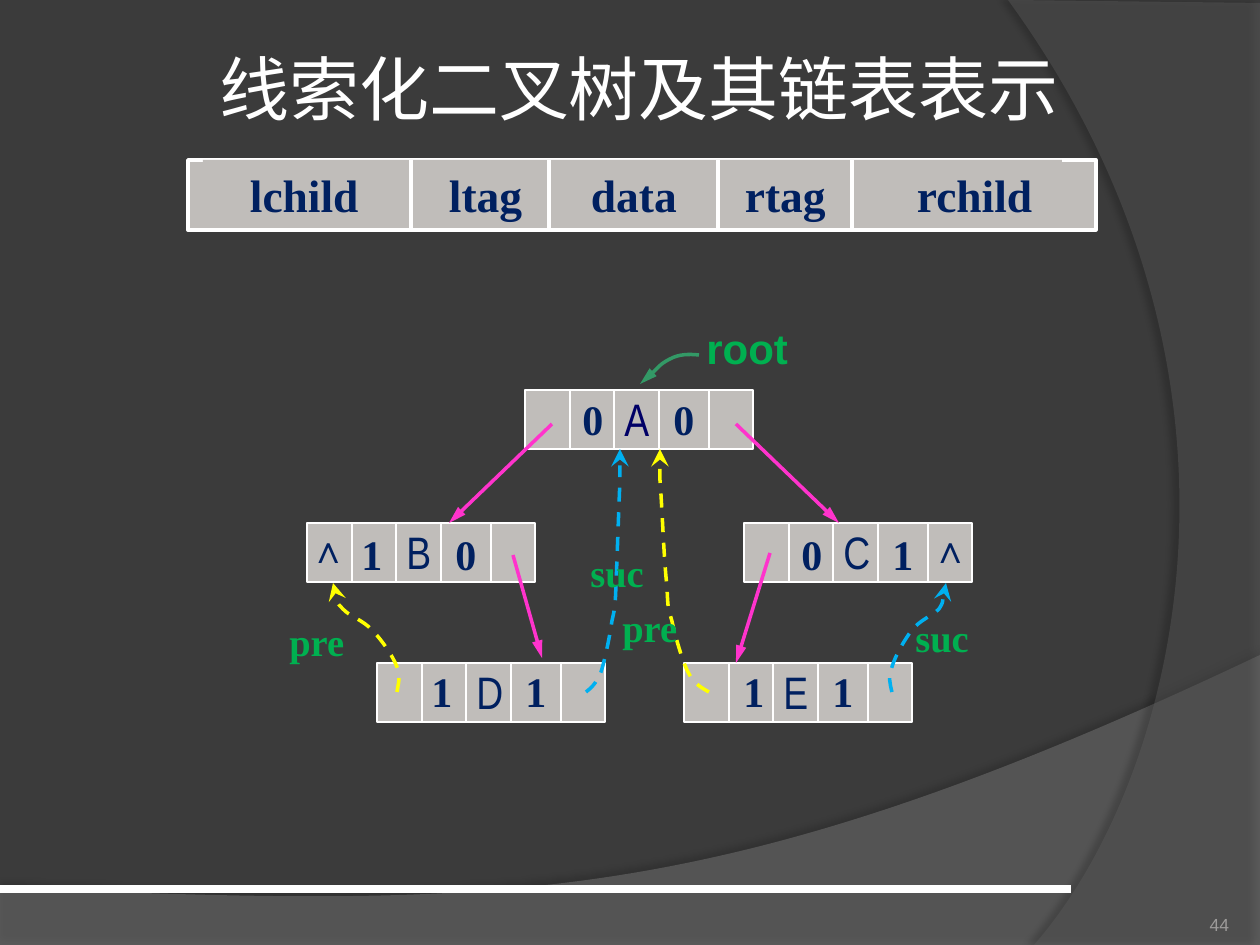
from dataclasses import dataclass

from lxml import etree
from pptx import Presentation
from pptx import util as u
from pptx.dml.color import RGBColor
from pptx.enum import dml, shapes, text
from pptx.oxml.ns import qn

SCALE = 914400 / 126  # EMU in one px

DARK = RGBColor(0x3B, 0x3B, 0x3B)
BAND = RGBColor(0x7F, 0x7F, 0x7F)
SIDE = RGBColor(0x5E, 0x5E, 0x5E)
WHITE = RGBColor(0xFF, 0xFF, 0xFF)
GREY = RGBColor(0x9D, 0x9B, 0x9A)
CELL = RGBColor(0xC0, 0xBD, 0xBA)
NAVY = RGBColor(0x00, 0x20, 0x60)
INDIGO = RGBColor(0x00, 0x00, 0x66)
PINK = RGBColor(0xFF, 0x33, 0xCC)
GREEN = RGBColor(0x00, 0xB0, 0x50)
TEAL = RGBColor(0x33, 0x99, 0x66)
YELLOW = RGBColor(0xFF, 0xFF, 0x00)
BLUE = RGBColor(0x00, 0xB0, 0xF0)
SERIF = "Times New Roman"

WIDE, TALL = 228, 59      # tree node
SPLITS = (45, 89, 134, 184)


@dataclass
class Node:
    x: int
    y: int
    name: str
    tags: str
    tag_x: int            # offset of the left tag
    tag_y: int
    nil: int | None = None  # offset of the null mark
    ink: RGBColor = NAVY


@dataclass
class Label:
    x: int
    y: int
    w: int
    h: int
    words: str
    size: int
    font: str = SERIF
    ink: RGBColor = GREEN
    bold: bool = True


@dataclass
class Thread:
    ink: RGBColor
    points: list[tuple[int, int]]
    head: str = "stealth"
    dash: bool = True


def px(n: float) -> u.Emu:
    return u.Emu(round(n * SCALE))


def style(box, words: str, size: int, font: str, ink: RGBColor, bold: bool = False):
    frame = box.text_frame
    frame.text = words
    face = frame.paragraphs[0].runs[0].font
    face.size, face.name, face.bold = u.Pt(size), font, bold
    face.color.rgb = ink
    return frame


def write(slide, tag: Label):
    box = slide.shapes.add_textbox(px(tag.x), px(tag.y), px(tag.w), px(tag.h))
    frame = style(box, tag.words, tag.size, tag.font, tag.ink, tag.bold)
    frame.word_wrap = False
    return frame


def rect(slide, x: int, y: int, w: int, h: int, edge: float):
    box = slide.shapes.add_shape(shapes.MSO_SHAPE.RECTANGLE, px(x), px(y), px(w), px(h))
    box.shadow.inherit = False
    box.fill.solid()
    box.fill.fore_color.rgb = CELL
    if edge:
        box.line.color.rgb = WHITE
        box.line.width = u.Pt(edge)
    else:
        box.line.fill.background()
    return box


def tip(line, head: str, wide: str) -> None:
    etree.SubElement(line._get_or_add_ln(), qn("a:tailEnd"), type=head, w=wide, len="lg")


def rule(slide, x: int, y: int, x2: int, y2: int, ink: RGBColor, width: float,
         arrow: bool = False) -> None:
    line = slide.shapes.add_connector(shapes.MSO_CONNECTOR.STRAIGHT, px(x), px(y), px(x2), px(y2))
    line.line.color.rgb = ink
    line.line.width = u.Pt(width)
    if arrow:
        tip(line.line, "triangle", "med")
    etree.SubElement(line._element.spPr, qn("a:effectLst"))


def curve(slide, points: list[tuple[int, int]], steps: str, close: bool = False):
    """Outline whose steps are L (one point) or C (three Bezier points)."""
    pen = slide.shapes.build_freeform(*points[0], scale=SCALE)
    pen.add_line_segments(points[1:], close=close)
    shape = pen.convert_to_shape()
    shape.shadow.inherit = False
    legs = iter(list(shape._element.iter(qn("a:lnTo"))))
    for step in steps:
        leg = next(legs)
        if step == "C":
            bend = etree.Element(qn("a:cubicBezTo"))
            leg.addprevious(bend)
            for part in (leg, next(legs), next(legs)):
                bend.append(part[0])
                part.getparent().remove(part)
    return shape


def sweep(slide, points, steps: str, ink: RGBColor, alpha: int,
          shade: int, dist: float, angle: int) -> None:
    shape = curve(slide, points, steps, True)
    shape.fill.solid()
    shape.fill.fore_color.rgb = ink
    shape.line.fill.background()
    hue = next(shape._element.spPr.iter(qn("a:srgbClr")))
    etree.SubElement(hue, qn("a:alpha"), val=str(alpha * 1000))
    glow = etree.SubElement(shape._element.spPr.find(qn("a:effectLst")), qn("a:outerShdw"),
                            blurRad=str(u.Pt(4)), dist=str(u.Pt(dist)),
                            dir=str(angle * 60000), algn="ctr", rotWithShape="0")
    black = etree.SubElement(glow, qn("a:srgbClr"), val="000000")
    etree.SubElement(black, qn("a:alpha"), val=str(shade * 1000))


def thread(slide, way: Thread) -> None:
    shape = curve(slide, way.points, "C" * (len(way.points) // 3))
    shape.fill.background()
    shape.line.color.rgb = way.ink
    shape.line.width = u.Pt(2)
    if way.dash:
        shape.line.dash_style = dml.MSO_LINE.DASH
    tip(shape.line, way.head, "lg" if way.dash else "med")


def draw(slide, node: Node) -> None:
    x, y = node.x, node.y
    rect(slide, x, y, WIDE, TALL, 0.75)
    for dx in SPLITS:
        rule(slide, x + dx, y, x + dx, y + TALL, WHITE, 0.75)
    write(slide, Label(x + 87, y - 5, 50, 67, node.name, 26, "Arial Narrow", node.ink, False))
    for dx, tag in zip((node.tag_x, 136), node.tags):
        write(slide, Label(x + dx, y + node.tag_y, 47, 63, tag, 24, SERIF, NAVY))
    if node.nil is not None:
        write(slide, Label(x + node.nil, y - 4, 64, 59, "∧", 22, "Arial", NAVY, False))


NODES = [
    Node(377, 663, "D", "11", 42, -4), Node(525, 390, "A", "00", 45, -3, ink=INDIGO),
    Node(684, 663, "E", "11", 47, -4), Node(307, 523, "B", "10", 42, -1, -10),
    Node(744, 523, "C", "01", 45, -1, 175),
]
LINKS = [(552, 424, 449, 523), (736, 424, 839, 523), (770, 553, 736, 663), (513, 555, 542, 658)]
THREADS = [
    Thread(TEAL, [(699, 355), (689, 354), (679, 354), (670, 359),
                  (660, 364), (645, 381), (640, 384)], "triangle", False),
    Thread(YELLOW, [(397, 692), (398, 684), (401, 677), (397, 667), (393, 656), (381, 639),
                    (372, 630), (363, 620), (349, 616), (343, 609), (335, 601), (334, 587),
                    (333, 583)]),
    Thread(BLUE, [(892, 692), (890, 684), (888, 677), (892, 667), (895, 656), (905, 639),
                  (912, 630), (920, 620), (932, 616), (939, 609), (944, 601), (945, 587),
                  (946, 583)]),
    Thread(YELLOW, [(709, 692), (702, 688), (694, 684), (688, 672), (682, 660), (675, 635),
                    (672, 621), (668, 607), (668, 610), (667, 586), (664, 562), (662, 503),
                    (660, 480), (660, 456), (660, 454), (660, 449)]),
    Thread(BLUE, [(586, 692), (591, 688), (596, 684), (601, 672), (605, 660), (610, 635),
                  (612, 621), (615, 607), (615, 610), (616, 586), (617, 562), (619, 503),
                  (620, 480), (620, 456), (620, 454), (620, 449)]),
]
LABELS = [Label(694, 316, 107, 63, "root", 24, "Arial")] + [
    Label(x, y, 80, 59, words, 22)
    for x, y, words in ((277, 612, "pre"), (610, 598, "pre"), (578, 543, "suc"), (903, 608, "suc"))]


def main() -> None:
    deck = Presentation()
    deck.slide_width, deck.slide_height = px(1260), px(945)
    slide = deck.slides.add_slide(deck.slide_layouts[6])

    # Backdrop
    slide.background.fill.solid()
    slide.background.fill.fore_color.rgb = DARK
    sweep(slide, [(0, 888), (0, 946), (1260, 946), (1260, 655), (704, 919), (493, 906), (0, 888)],
          "LLLC", BAND, 45, 35, 3.5, 270)
    sweep(slide, [(1260, 3), (1260, 945), (1034, 945), (1178, 780), (1283, 378), (1008, 0)],
          "LLC", SIDE, 40, 45, 4, 180)
    rule(slide, 0, 889, 1071, 889, WHITE, 4.5)

    # Title and page number
    title = write(slide, Label(72, 15, 1134, 146, "线索化二叉树及其链表表示", 40, "Cabin", WHITE, False))
    title.word_wrap, title.vertical_anchor = True, text.MSO_ANCHOR.MIDDLE
    title.paragraphs[0].alignment = text.PP_ALIGN.CENTER
    page = write(slide, Label(1124, 885, 105, 50, "44", 10, "Arial", GREY, False))
    page.word_wrap, page.vertical_anchor = True, text.MSO_ANCHOR.BOTTOM
    page.margin_left = page.margin_right = page.margin_top = page.margin_bottom = 0
    page.paragraphs[0].alignment = text.PP_ALIGN.RIGHT

    # Record layout
    rect(slide, 188, 160, 908, 70, 2)
    bar = rect(slide, 203, 160, 859, 68, 0)
    frame = style(bar, "lchild\tltag\tdata\trtag\trchild", 26, SERIF, NAVY, True)
    frame.margin_left, frame.margin_right = px(47), 0
    frame.vertical_anchor = text.MSO_ANCHOR.MIDDLE
    frame.paragraphs[0].alignment = text.PP_ALIGN.LEFT
    tabs = etree.SubElement(frame.paragraphs[0]._p.get_or_add_pPr(), qn("a:tabLst"))
    for stop in (199, 341, 495, 667):
        etree.SubElement(tabs, qn("a:tab"), pos=str(px(stop)), algn="l")
    for x in (411, 549, 718, 852):
        rule(slide, x, 160, x, 230, WHITE, 2.25)

    # Tree
    for node in NODES:
        draw(slide, node)
    for link in LINKS:
        rule(slide, *link, PINK, 2, True)
    for way in THREADS:
        thread(slide, way)
    for label in LABELS:
        write(slide, label)

    deck.save("out.pptx")


if __name__ == "__main__":
    main()
